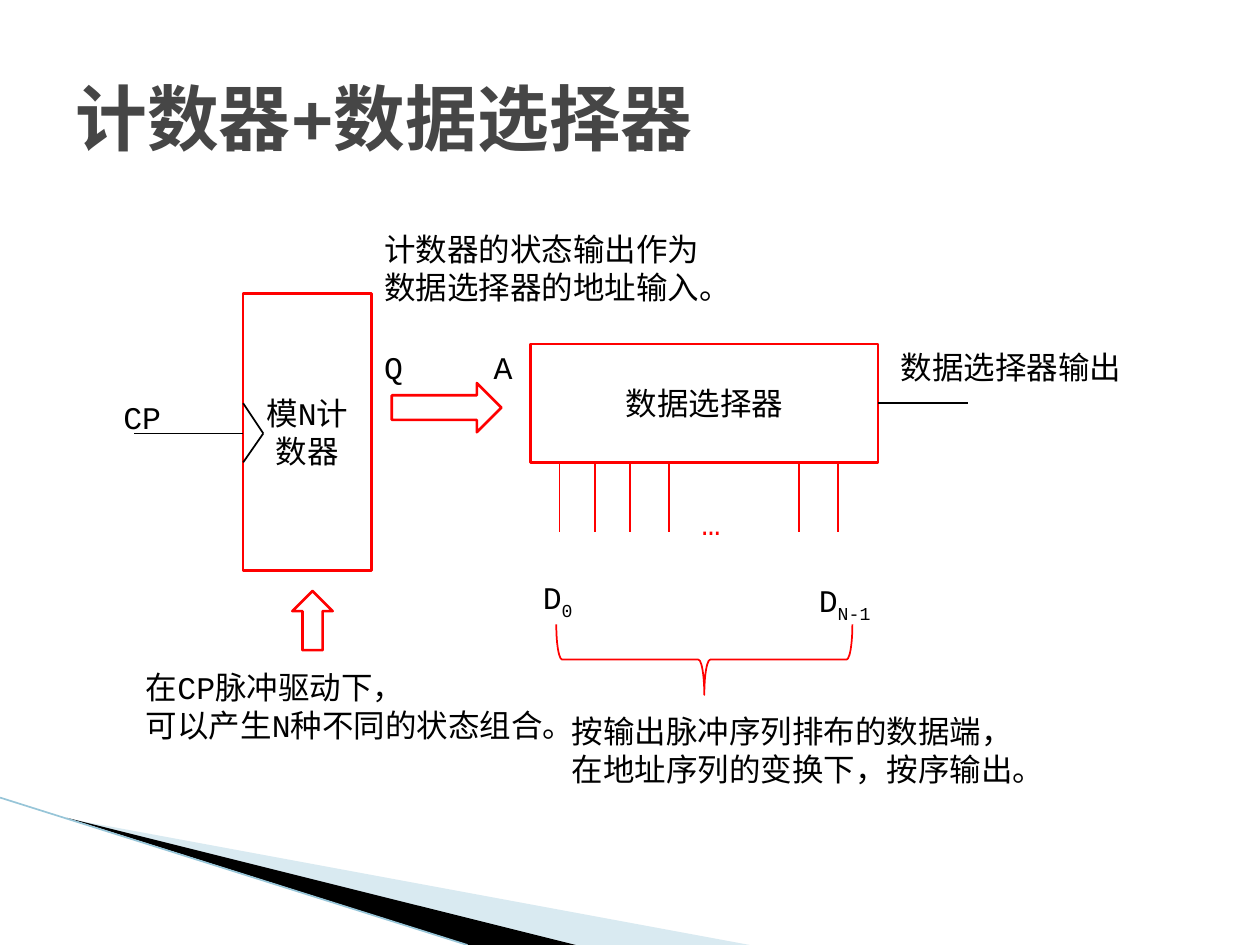
from dataclasses import dataclass

from lxml import etree
from pptx import Presentation
from pptx.dml.color import RGBColor
from pptx.enum.shapes import MSO_CONNECTOR, MSO_SHAPE
from pptx.enum.text import MSO_ANCHOR, MSO_AUTO_SIZE, PP_ALIGN
from pptx.oxml.ns import qn
from pptx.util import Inches, Pt

STRAIGHT = MSO_CONNECTOR.STRAIGHT
RECTANGLE = MSO_SHAPE.RECTANGLE
DOWN_ARROW = MSO_SHAPE.DOWN_ARROW
RIGHT_ARROW = MSO_SHAPE.RIGHT_ARROW
LEFT_BRACE = MSO_SHAPE.LEFT_BRACE
MIDDLE = MSO_ANCHOR.MIDDLE
CENTER = PP_ALIGN.CENTER
GROW = MSO_AUTO_SIZE.SHAPE_TO_FIT_TEXT


@dataclass(frozen=True)
class Theme:
    font: str = "Courier New"
    title_size: float = 41
    body_size: float = 18
    thick: float = 1.5
    thin: float = 1
    edge: float = 0.95
    ink: str = "000000"
    accent: str = "FF0000"
    title: str = "464646"
    pale: str = "A0CBDC"
    rim: str = "97C5D8"


@dataclass(frozen=True)
class Label:
    lines: tuple[str, ...]
    left: float
    top: float
    width: float
    height: float = 0.4
    subscript: str = ""
    color: str = Theme.ink


@dataclass(frozen=True)
class Figure:
    kind: int
    left: float
    top: float
    width: float
    height: float
    text: str = ""
    rotation: float = 0
    weight: float = Theme.thick


@dataclass(frozen=True)
class Wire:
    x1: float
    y1: float
    x2: float
    y2: float
    color: str = Theme.ink
    weight: float = Theme.thin


THEME = Theme()
PIN_XS = (4.44, 4.72, 5, 5.31, 6.34, 6.65)
PIN_TOP, PIN_BOTTOM = 3.67, 4.22

FIGURES = (
    Figure(DOWN_ARROW, 2.32, 4.69, 0.32, 0.47, rotation=180),
    Figure(RECTANGLE, 1.93, 2.33, 1.02, 2.2, "模N计数器"),
    Figure(RIGHT_ARROW, 3.11, 3.04, 0.87, 0.39),
    Figure(RECTANGLE, 4.21, 2.73, 2.76, 0.94, "数据选择器"),
    Figure(LEFT_BRACE, 5.31, 4.06, 0.56, 2.35, rotation=270, weight=THEME.thin),
)
WIRES = (
    Wire(1.93, 3.2, 2.09, 3.44),
    Wire(2.09, 3.44, 1.93, 3.67),
    Wire(1.93, 3.44, 1.06, 3.44),
    Wire(6.97, 3.2, 7.68, 3.2),
    *(Wire(x, PIN_TOP, x, PIN_BOTTOM, THEME.accent) for x in PIN_XS),
)
LABELS = (
    Label(("在CP脉冲驱动下，", "可以产生N种不同的状态组合。"), 1.06, 5.25, 3.67, 0.71),
    Label(("CP",), 0.88, 3.11, 0.52),
    Label(("计数器的状态输出作为", "数据选择器的地址输入。"), 2.95, 1.78, 2.98, 0.71),
    Label(("Q",), 2.95, 2.71, 0.4),
    Label(("A",), 3.82, 2.71, 0.38),
    Label(("数据选择器输出",), 7.05, 2.71, 1.97),
    Label(("…",), 5.47, 3.95, 0.45, color=THEME.accent),
    Label(("D",), 4.21, 4.54, 0.5, subscript="0"),
    Label(("D",), 6.4, 4.56, 0.72, subscript="N-1"),
    Label(("按输出脉冲序列排布的数据端，", "在地址序列的变换下，按序输出。"), 4.44, 5.6, 3.99, 0.71),
)


def add_span(para, text: str, color: str = THEME.ink, size: float = THEME.body_size):
    span = para.add_run()
    span.text = text
    span.font.name = THEME.font
    span.font.size = Pt(size)
    span.font.color.rgb = RGBColor.from_string(color)
    return span


def draw_title(page, text: str) -> None:
    box = page.shapes.add_textbox(Inches(0.5), Inches(0.3), Inches(9), Inches(1.25))
    frame = box.text_frame
    frame.word_wrap = True
    frame.vertical_anchor = MIDDLE
    span = add_span(frame.paragraphs[0], text, THEME.title, THEME.title_size)
    span.font.bold = True


def draw_label(page, label: Label) -> None:
    box = page.shapes.add_textbox(
        Inches(label.left), Inches(label.top), Inches(label.width), Inches(label.height)
    )
    frame = box.text_frame
    frame.word_wrap = False
    frame.auto_size = GROW
    for index, line in enumerate(label.lines):
        para = frame.add_paragraph() if index else frame.paragraphs[0]
        add_span(para, line, label.color)
    if label.subscript:
        span = add_span(para, label.subscript, label.color)
        span._r.get_or_add_rPr().set("baseline", "-25000")


def draw_figure(page, figure: Figure) -> None:
    shape = page.shapes.add_shape(
        figure.kind,
        Inches(figure.left), Inches(figure.top), Inches(figure.width), Inches(figure.height),
    )
    shape.shadow.inherit = False
    shape.rotation = figure.rotation
    shape.fill.background()
    shape.line.color.rgb = RGBColor.from_string(THEME.accent)
    shape.line.width = Pt(figure.weight)
    if figure.text:
        shape.text_frame.vertical_anchor = MIDDLE
        para = shape.text_frame.paragraphs[0]
        para.alignment = CENTER
        add_span(para, figure.text)


def draw_wire(page, wire: Wire) -> None:
    line = page.shapes.add_connector(
        STRAIGHT, Inches(wire.x1), Inches(wire.y1), Inches(wire.x2), Inches(wire.y2)
    )
    line.line.color.rgb = RGBColor.from_string(wire.color)
    line.line.width = Pt(wire.weight)
    etree.SubElement(line._element.spPr, qn("a:effectLst"))


def draw_wedge(page, points: list[tuple[float, float]], color: str, opacity: int = 100) -> None:
    corners = [(Inches(x), Inches(y)) for x, y in points]
    builder = page.shapes.build_freeform(*corners[0])
    builder.add_line_segments(corners[1:], close=True)
    wedge = builder.convert_to_shape()
    wedge.shadow.inherit = False
    wedge.line.fill.background()
    wedge.fill.solid()
    wedge.fill.fore_color.rgb = RGBColor.from_string(color)
    if opacity < 100:
        tint = wedge._element.spPr.find(qn("a:solidFill"))[0]
        etree.SubElement(tint, qn("a:alpha")).set("val", str(opacity * 1000))


def main() -> None:
    deck = Presentation()
    deck.slide_width, deck.slide_height = Inches(10), Inches(7.5)
    page = deck.slides.add_slide(deck.slide_layouts[6])

    draw_wedge(page, [(0.55, 6.5), (5.95, 7.5), (4.56, 7.5)], THEME.pale, 40)
    draw_wedge(page, [(0.53, 6.49), (4.57, 7.5), (3.72, 7.5)], THEME.ink)
    draw_wire(page, Wire(0, 6.33, 3.71, 7.5, THEME.rim, THEME.edge))
    draw_title(page, "计数器+数据选择器")
    for figure in FIGURES:
        draw_figure(page, figure)
    for wire in WIRES:
        draw_wire(page, wire)
    for label in LABELS:
        draw_label(page, label)

    deck.save("out.pptx")


if __name__ == "__main__":
    main()
